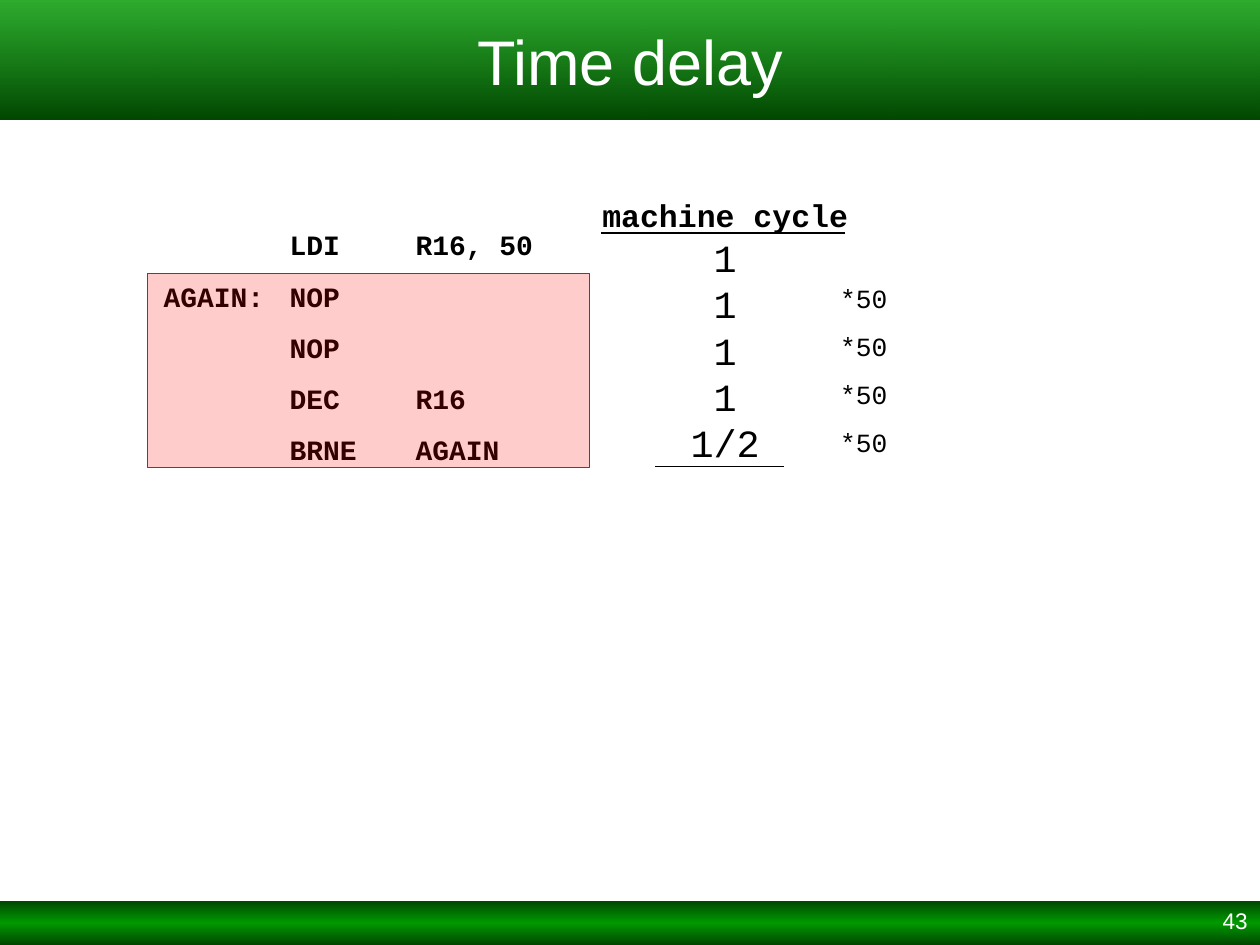
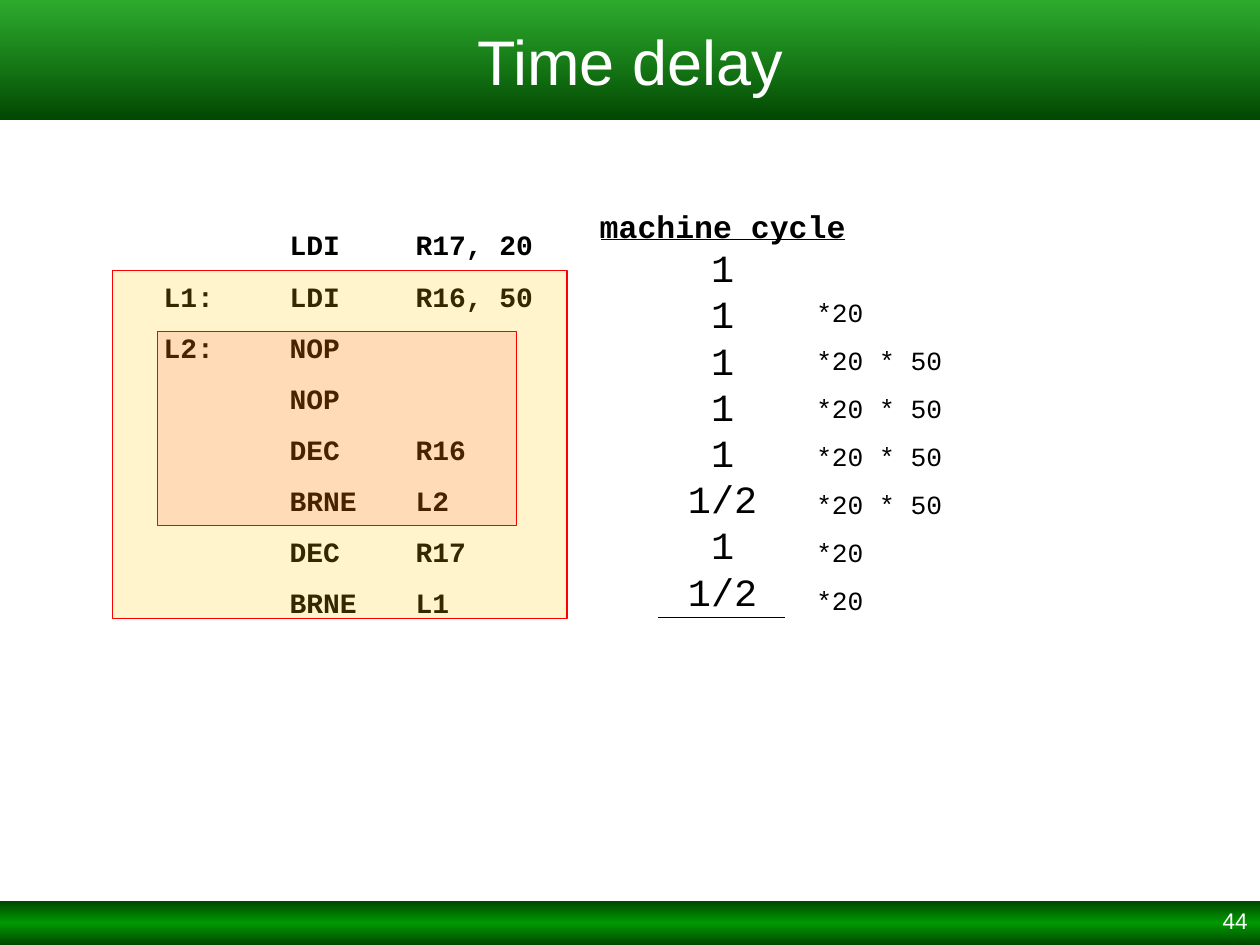
from lxml.etree import SubElement
from pptx import Presentation
from pptx.dml.color import RGBColor
from pptx.enum.shapes import MSO_CONNECTOR, MSO_SHAPE
from pptx.enum.text import MSO_ANCHOR, MSO_AUTO_SIZE, PP_ALIGN
from pptx.oxml.ns import qn
from pptx.util import Pt

# Scale: 100 px to the inch
EMU_PER_PX = 9144
SLIDE_WIDTH, SLIDE_HEIGHT = 1000, 750
TAB_STEP = 100

DARK_GREEN = RGBColor(0x00, 0x47, 0x00)
GREEN = RGBColor(0x00, 0x99, 0x00)
WHITE = RGBColor(0xFF, 0xFF, 0xFF)
BLACK = RGBColor(0x00, 0x00, 0x00)
RED = RGBColor(0xFF, 0x00, 0x00)
YELLOW = RGBColor(0xFF, 0xCC, 0x00)

SANS, MONO = "Arial", "Courier New"


def px(*lengths):
    return [length * EMU_PER_PX for length in lengths]


def set_alpha(color_element, percent):
    SubElement(color_element, qn("a:alpha"), val=str(percent * 1000))


def add_rectangle(slide, bounds):
    rectangle = slide.shapes.add_shape(MSO_SHAPE.RECTANGLE, *px(*bounds))
    rectangle.shadow.inherit = False
    return rectangle


def add_band(slide, bounds, stops):
    """Vertical gradient band; each stop is (position %, colour, opacity %)."""
    band = add_rectangle(slide, bounds)
    band.line.fill.background()
    band.fill.gradient()
    band.fill.gradient_angle = 270
    stop_list = band.fill._fill._gradFill.find(qn("a:gsLst"))
    stop_list.clear()
    for position, color, opacity in stops:
        stop = SubElement(stop_list, qn("a:gs"), pos=str(position * 1000))
        color_element = SubElement(stop, qn("a:srgbClr"), val=str(color))
        if opacity < 100:
            set_alpha(color_element, opacity)
    return band


def add_run(paragraph, text, size, font, color, bold=False):
    run = paragraph.add_run()
    run.text = text
    run.font.size = Pt(size)
    run.font.name = font
    run.font.bold = bold
    run.font.color.rgb = color


def add_text_box(slide, bounds):
    frame = slide.shapes.add_textbox(*px(*bounds)).text_frame
    frame.word_wrap = True
    return frame


def add_lines(slide, bounds, lines, gap=0, align=PP_ALIGN.LEFT, tabs=0):
    """Monospaced lines; each line is (text, size, bold)."""
    frame = add_text_box(slide, bounds)
    frame.auto_size = MSO_AUTO_SIZE.SHAPE_TO_FIT_TEXT
    for index, (text, size, bold) in enumerate(lines):
        paragraph = frame.add_paragraph() if index else frame.paragraphs[0]
        if tabs:
            tab_list = SubElement(paragraph._p.get_or_add_pPr(), qn("a:tabLst"))
            for number in range(1, tabs + 1):
                position = str(number * TAB_STEP * EMU_PER_PX)
                SubElement(tab_list, qn("a:tab"), pos=position, algn="l")
        paragraph.alignment = align
        if index and gap:
            paragraph.space_before = Pt(gap)
        add_run(paragraph, text, size, MONO, BLACK, bold)


def add_rule(slide, left, right, y):
    rule = slide.shapes.add_connector(MSO_CONNECTOR.STRAIGHT, *px(right, y, left, y))
    rule.line.color.rgb = BLACK
    rule.line.width = Pt(0.75)
    SubElement(rule._element.spPr, qn("a:effectLst"))


def add_loop_highlight(slide, bounds, color, opacity):
    highlight = add_rectangle(slide, bounds)
    highlight.fill.solid()
    highlight.fill.fore_color.rgb = color
    set_alpha(highlight.fill._xPr.find(".//" + qn("a:srgbClr")), opacity)
    highlight.line.color.rgb = RED
    highlight.line.width = Pt(0.75)


def add_base_slide(deck, title, number):
    slide = deck.slides.add_slide(deck.slide_layouts[6])

    # Footer band and slide number
    add_band(slide, (0, 715, SLIDE_WIDTH, 35),
             [(0, DARK_GREEN, 100), (50, GREEN, 100), (100, DARK_GREEN, 100)])
    number_line = add_text_box(slide, (767, 717, 233, 33)).paragraphs[0]
    number_line.alignment = PP_ALIGN.RIGHT
    number_line.line_spacing = 0.9
    add_run(number_line, str(number), 12.9, SANS, WHITE)

    # Title band
    title_band = add_band(slide, (0, 0, SLIDE_WIDTH, 95),
                          [(0, GREEN, 82), (100, DARK_GREEN, 100)])
    title_band.text_frame.vertical_anchor = MSO_ANCHOR.MIDDLE
    title_line = title_band.text_frame.paragraphs[0]
    title_line.alignment = PP_ALIGN.CENTER
    add_run(title_line, title, 36, SANS, WHITE)
    return slide


def add_code(slide, height, instructions):
    add_lines(slide, (120, 176, 361, height),
              [("\t".join(parts), 16, True) for parts in instructions],
              gap=10, tabs=2)


def add_cycles(slide, bounds, cycles):
    add_lines(slide, bounds,
              [("machine cycle", 18, True)] + [(count, 22, False) for count in cycles],
              align=PP_ALIGN.CENTER)


def add_repeats(slide, bounds, repeats):
    add_lines(slide, bounds, [(text, 15, False) for text in repeats], gap=9.4)


def add_single_loop(deck):
    slide = add_base_slide(deck, "Time delay", 43)
    add_code(slide, 199, [
        ("", "LDI", "R16, 50"),
        ("AGAIN:", "NOP"),
        ("", "NOP"),
        ("", "DEC", "R16"),
        ("", "BRNE", "AGAIN"),
    ])
    add_cycles(slide, (425, 151, 301, 260), ["1"] * 4 + ["1/2"])
    add_rule(slide, 477, 671, 185)
    add_rule(slide, 520, 622, 370)
    add_repeats(slide, (657, 219, 72, 149), ["*50"] * 4)
    add_loop_highlight(slide, (117, 217, 351, 154), RED, 20)


def add_nested_loops(deck):
    slide = add_base_slide(deck, "Time delay", 44)
    add_code(slide, 321, [
        ("", "LDI", "R17, 20"),
        ("L1:", "LDI", "R16, 50"),
        ("L2:", "NOP"),
        ("", "NOP"),
        ("", "DEC", "R16"),
        ("", "BRNE", "L2"),
        ("", "DEC", "R17"),
        ("", "BRNE", "L1"),
    ])
    add_cycles(slide, (423, 159, 301, 370), ["1"] * 5 + ["1/2", "1", "1/2"])
    add_rule(slide, 477, 671, 190)
    add_rule(slide, 522, 623, 490)
    add_repeats(slide, (638, 230, 132, 263),
                ["*20"] + ["*20 * 50"] * 4 + ["*20"] * 2)
    # Outer loop, then inner loop
    add_loop_highlight(slide, (89, 215, 361, 276), YELLOW, 20)
    add_loop_highlight(slide, (125, 263, 285, 154), RED, 10)


def main():
    deck = Presentation()
    deck.slide_width, deck.slide_height = px(SLIDE_WIDTH, SLIDE_HEIGHT)
    add_single_loop(deck)
    add_nested_loops(deck)
    deck.save("out.pptx")


if __name__ == "__main__":
    main()
